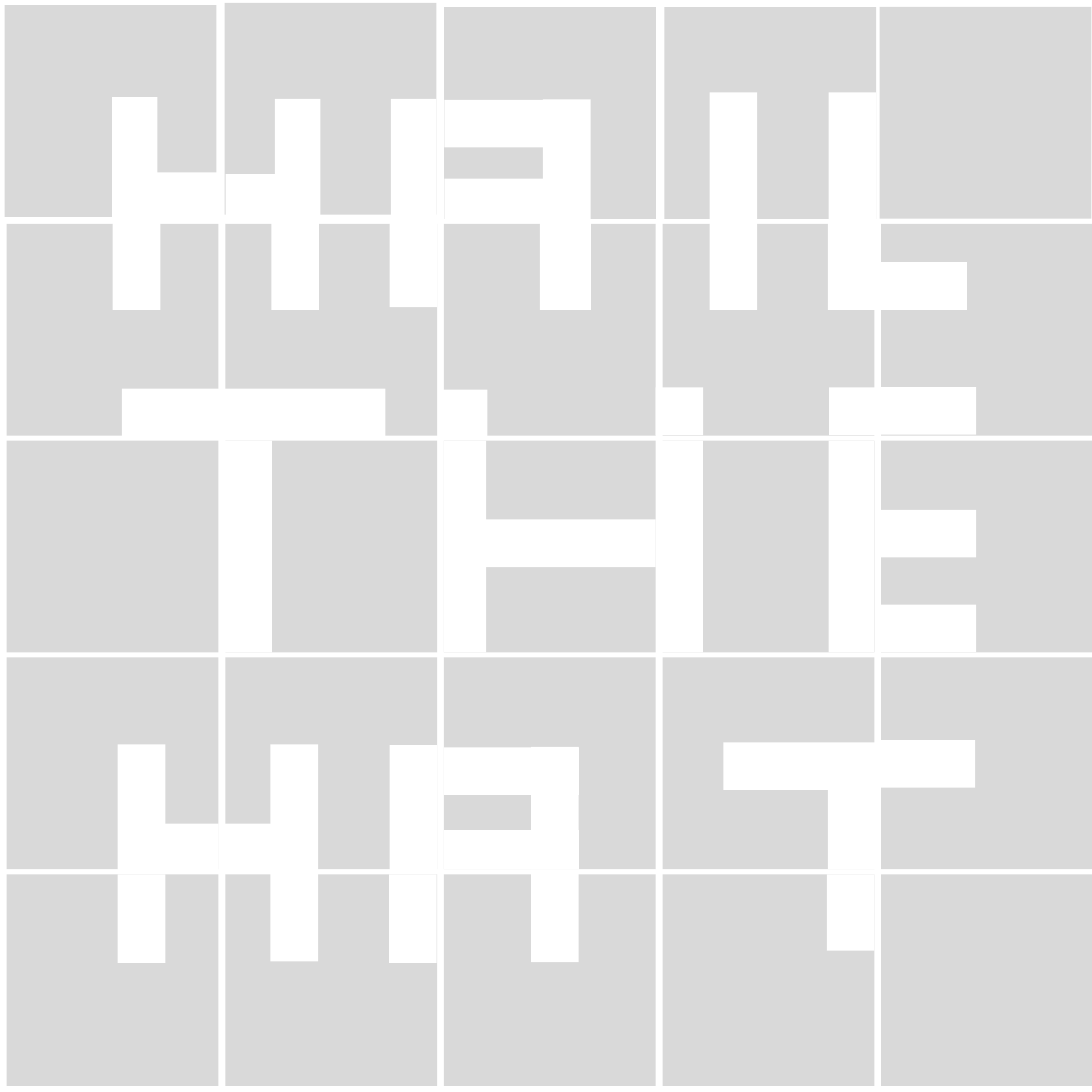
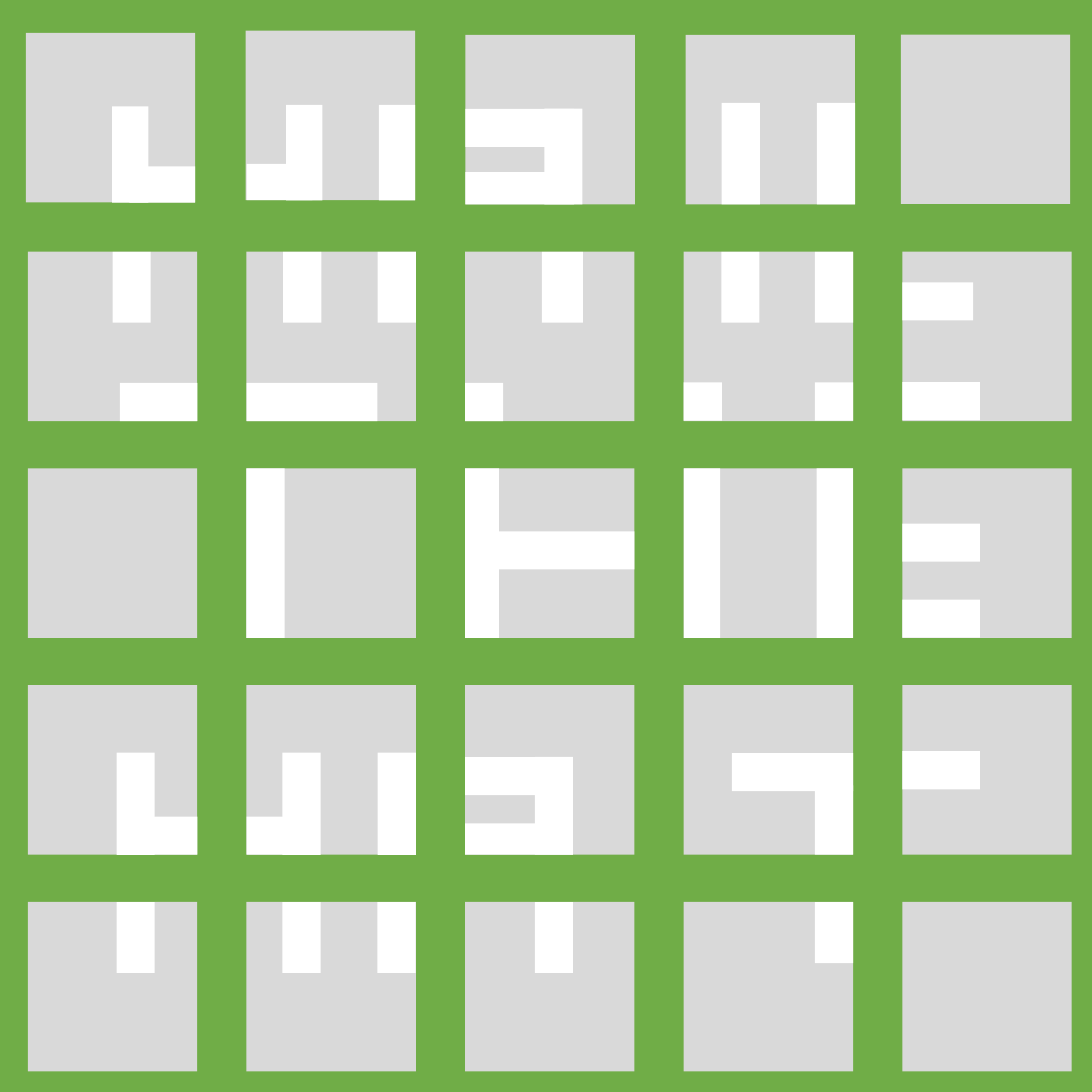
import pptx
import pptx.dml.color
import pptx.enum.shapes
import pptx.util
from dataclasses import dataclass


@dataclass(frozen=True)
class Theme:
    tile: str = "D9D9D9"
    stroke: str = "FFFFFF"
    side: float = 283.46      # square page
    tile_size: float = 55     # full-size tile
    pitch_x: float = 56.75
    pitch_y: float = 56.27


THEME = Theme()
BAR = 12.4    # usual stroke thickness
THIN = 11.8

# Each sheet: background, corner of the first tile, scale, strokes kept in tile
SHEETS = [
    dict(background="FFFFFF", left=1.75, top=1.9, scale=1, keep_inside=False),
    dict(background="70AD47", left=7.25, top=9.1, scale=0.8, keep_inside=True),
]

# Small shifts of the tiles in the first row
NUDGES = {
    (0, 0): (-0.5, -0.5),
    (0, 1): (-0.2, -1.1),
    (0, 2): (0.1, 0),
    (0, 3): (0.5, 0),
    (0, 4): (-0.4, -0.1),
}

# Letter strokes of each tile: left, top, width, height within a full-size tile
TILES = [
    [
        [(27.9, 23.8, THIN, 31.2), (33.8, 43.4, 21.4, THIN)],
        [(13.1, 24.9, THIN, 31), (0.3, 44.4, 21.4, THIN), (43.2, 24.9, THIN, 31)],
        [(25.6, 23.9, BAR, 31.1), (0, 44.5, 35.3, 10.5), (0, 24, 35.3, BAR)],
        [(11.7, 22.1, BAR, 33), (42.6, 22.1, BAR, 33)],
        [],
    ],
    [
        [(27.5, -0.7, BAR, 23), (29.9, 42.7, 25.2, BAR)],
        [(11.9, -0.7, BAR, 23), (-0.9, 42.7, 42.5, BAR), (42.6, -1.4, BAR, 23)],
        [(-1.1, 43, BAR, BAR), (24.9, -0.7, 13.3, 23)],
        [(12.2, -0.7, BAR, 23), (42.9, -0.7, BAR, 23),
         (43.2, 42.4, BAR, BAR), (-1.8, 42.4, BAR, BAR)],
        [(-0.7, 9.9, 23, BAR), (-0.5, 42.3, 25.2, BAR)],
    ],
    [
        [],
        [(-0.3, 0, BAR, 55)],
        [(0, 0, 11, 55), (10, 20.4, 45, BAR)],
        [(43.1, 0, THIN, 55), (-1.3, 0, THIN, 55)],
        [(-0.5, 17.9, 25.2, BAR), (-0.5, 42.5, 25.2, BAR)],
    ],
    [
        [(28.8, 22.5, BAR, 33.2), (32, 43.1, 23, BAR)],
        [(11.7, 22.5, BAR, 33.2), (-1, 43.1, 23, BAR), (42.6, 22.7, BAR, 33.2)],
        [(22.6, 23.2, BAR, 31.8), (0, 44.8, 35, 10.2), (0, 23.3, 35, BAR)],
        [(42.9, 32.5, BAR, 22.5), (15.8, 22, 39.4, BAR)],
        [(-0.8, 21.4, 25.2, BAR)],
    ],
    [
        [(28.8, 0, BAR, 23)],
        [(11.7, -0.4, BAR, 23), (42.5, 0, BAR, 23)],
        [(22.6, -0.2, BAR, 23)],
        [(42.6, 0, BAR, 19.8)],
        [],
    ],
]


def set_fill(fill, color):
    fill.solid()
    fill.fore_color.rgb = pptx.dml.color.RGBColor.from_string(color)


def add_block(shapes, left, top, width, height, color):
    block = shapes.add_shape(
        pptx.enum.shapes.MSO_SHAPE.RECTANGLE,
        *(pptx.util.Pt(length) for length in (left, top, width, height)))
    block.shadow.inherit = False
    block.line.fill.background()
    set_fill(block.fill, color)


def held(start, length):
    """Slide a stroke along one axis until it lies within its tile."""
    return max(0, min(start, THEME.tile_size - length))


def add_tile(page, left, top, strokes, scale, keep_inside):
    # A tile with strokes is one group
    shapes = page.shapes.add_group_shape().shapes if strokes else page.shapes
    size = THEME.tile_size * scale
    add_block(shapes, left, top, size, size, THEME.tile)
    for x, y, width, height in strokes:
        if keep_inside:
            x, y = held(x, width), held(y, height)
        add_block(shapes, left + x * scale, top + y * scale,
                  width * scale, height * scale, THEME.stroke)


def add_sheet(deck, background, left, top, scale, keep_inside):
    page = deck.slides.add_slide(deck.slide_layouts[6])
    set_fill(page.background.fill, background)
    for row, tiles in enumerate(TILES):
        for column, strokes in enumerate(tiles):
            shift_x, shift_y = NUDGES.get((row, column), (0, 0))
            add_tile(page, left + column * THEME.pitch_x + shift_x,
                     top + row * THEME.pitch_y + shift_y,
                     strokes, scale, keep_inside)


def main():
    deck = pptx.Presentation()
    deck.slide_width = deck.slide_height = pptx.util.Pt(THEME.side)
    for sheet in SHEETS:
        add_sheet(deck, **sheet)
    deck.save("out.pptx")


if __name__ == "__main__":
    main()
